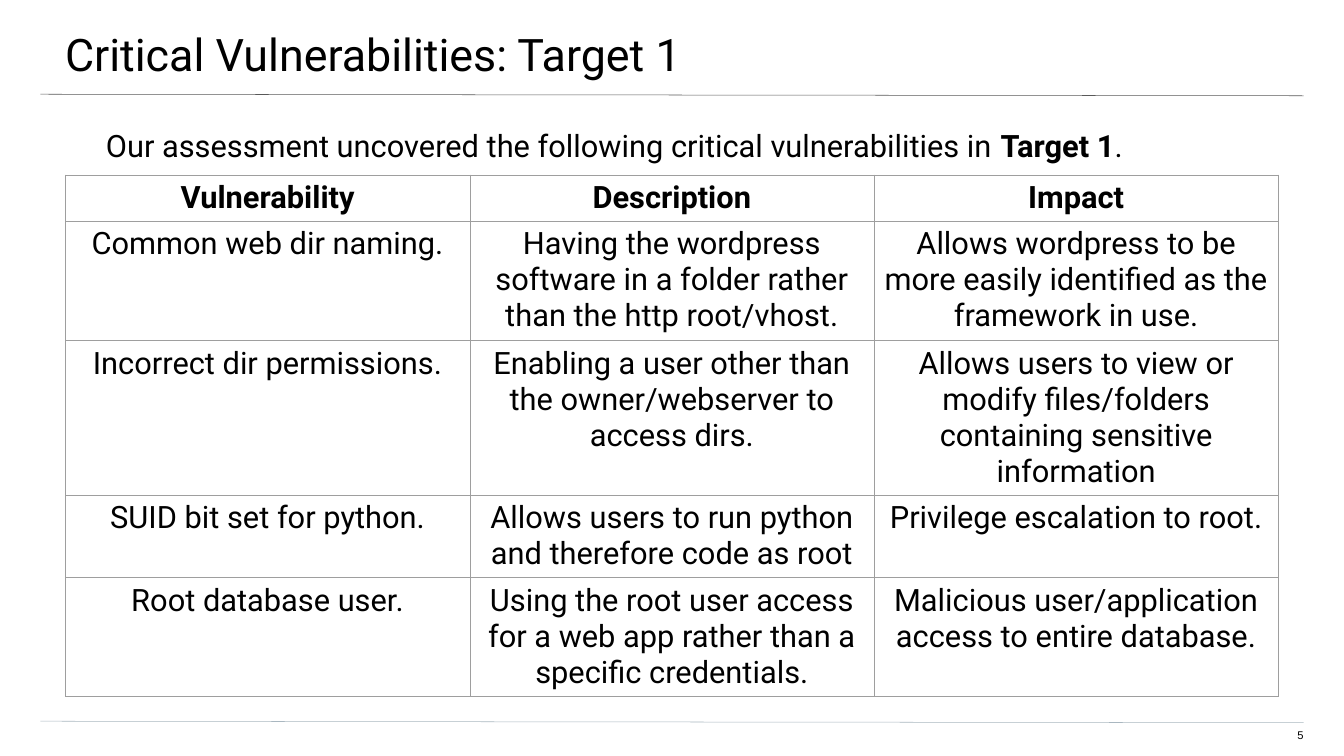
from dataclasses import dataclass

import pptx
import pptx.dml.color
import pptx.enum.shapes
import pptx.enum.text
import pptx.oxml.ns
import pptx.util
from lxml import etree
from pptx.util import Inches

ALIGN = pptx.enum.text.PP_ALIGN


@dataclass(frozen=True)
class Theme:
    text: str = "000000"
    title_rule: str = "595959"
    footer_rule: str = "A9B7C0"
    grid: str = "9E9E9E"
    font: str = "Roboto"
    number_font: str = "Arial"
    title_size: int = 64
    body_size: int = 44
    number_size: int = 16
    line_width: float = 0.75


THEME = Theme()

ROW_HEIGHTS = (0.89, 2.37, 3, 1.6, 2.3)
COLUMN_WIDTH = 8.02
FINDINGS = (
    ("Vulnerability", "Description", "Impact"),
    (
        "Common web dir naming.",
        "Having the wordpress software in a folder rather than the http root/vhost.",
        "Allows wordpress to be more easily identified as the framework in use.",
    ),
    (
        "Incorrect dir permissions.",
        "Enabling a user other than the owner/webserver to access dirs.",
        "Allows users to view or modify files/folders containing sensitive information",
    ),
    (
        "SUID bit set for python.",
        "Allows users to run python and therefore code as root",
        "Privilege escalation to root.",
    ),
    (
        "Root database user.",
        "Using the root user access for a web app rather than a specific credentials.",
        "Malicious user/application access to entire database.",
    ),
)


def rgb(value):
    return pptx.dml.color.RGBColor.from_string(value)


def add_text(para, text, *, size=THEME.body_size, font=THEME.font, bold=False, align=ALIGN.LEFT):
    """Append one formatted span to a paragraph."""
    para.alignment = align
    span = para.add_run()
    span.text = text
    span.font.size = pptx.util.Pt(size)
    span.font.name = font
    span.font.bold = bold
    span.font.color.rgb = rgb(THEME.text)


def set_up_frame(frame, insets):
    """Apply left, top, right and bottom insets and return the first paragraph."""
    frame.margin_left, frame.margin_top, frame.margin_right, frame.margin_bottom = map(Inches, insets)
    frame.word_wrap = True
    frame.auto_size = pptx.enum.text.MSO_AUTO_SIZE.NONE
    frame.vertical_anchor = pptx.enum.text.MSO_ANCHOR.TOP
    return frame.paragraphs[0]


def set_title(slide, text):
    title = slide.shapes.title
    title.left, title.top, title.width, title.height = map(Inches, (-0.04, 0, 26.73, 1.56))
    para = set_up_frame(title.text_frame, (1.33, 0.53, 0.8, 0.27))
    add_text(para, text, size=THEME.title_size)


def add_box(slide, place, insets):
    box = slide.shapes.add_textbox(*map(Inches, place))
    return set_up_frame(box.text_frame, insets)


def add_rule(slide, top, color):
    """Draw a nearly level line across the slide."""
    ends = map(Inches, (0.8, top, 25.86, top + 0.03))
    rule = slide.shapes.add_connector(pptx.enum.shapes.MSO_CONNECTOR.STRAIGHT, *ends)
    rule.line.color.rgb = rgb(color)
    rule.line.width = pptx.util.Pt(THEME.line_width)
    etree.SubElement(rule.element.spPr, pptx.oxml.ns.qn("a:effectLst"))


def add_borders(cell):
    properties = cell._tc.get_or_add_tcPr()
    for side in ("L", "R", "T", "B"):
        line = etree.SubElement(properties, pptx.oxml.ns.qn(f"a:ln{side}"))
        line.set("w", str(pptx.util.Pt(THEME.line_width)))
        fill = etree.SubElement(line, pptx.oxml.ns.qn("a:solidFill"))
        etree.SubElement(fill, pptx.oxml.ns.qn("a:srgbClr")).set("val", THEME.grid)


def add_findings_table(slide):
    columns = len(FINDINGS[0])
    place = map(Inches, (1.3, 3.47, columns * COLUMN_WIDTH, sum(ROW_HEIGHTS)))
    table = slide.shapes.add_table(len(FINDINGS), columns, *place).table
    table.first_row = table.horz_banding = False
    for column in table.columns:
        column.width = Inches(COLUMN_WIDTH)
    for row_index, (height, texts) in enumerate(zip(ROW_HEIGHTS, FINDINGS)):
        table.rows[row_index].height = Inches(height)
        for column_index, text in enumerate(texts):
            cell = table.cell(row_index, column_index)
            cell.margin_left = cell.margin_right = Inches(0.1)
            cell.margin_top = cell.margin_bottom = Inches(0.1)
            add_borders(cell)
            cell.fill.background()
            para = cell.text_frame.paragraphs[0]
            add_text(para, text, bold=row_index == 0, align=ALIGN.CENTER)


def main():
    deck = pptx.Presentation()
    deck.slide_width, deck.slide_height = Inches(26.66), Inches(15)
    slide = deck.slides.add_slide(deck.slide_layouts.get_by_name("Title Only"))

    add_rule(slide, 1.87, THEME.title_rule)
    add_rule(slide, 14.31, THEME.footer_rule)
    set_title(slide, "Critical Vulnerabilities: Target 1")

    number = add_box(slide, (25.1, 14.46, 0.76, 0.31), (0, 0, 0, 0.27))
    add_text(number, "5", size=THEME.number_size, font=THEME.number_font, align=ALIGN.RIGHT)

    intro = add_box(slide, (0.77, 2.51, 25.09, 10.79), (1.33, 0, 1.33, 2.67))
    add_text(intro, "Our assessment uncovered the following critical vulnerabilities in ")
    add_text(intro, "Target 1", bold=True)
    add_text(intro, ".")

    add_findings_table(slide)
    deck.save("out.pptx")


if __name__ == "__main__":
    main()
